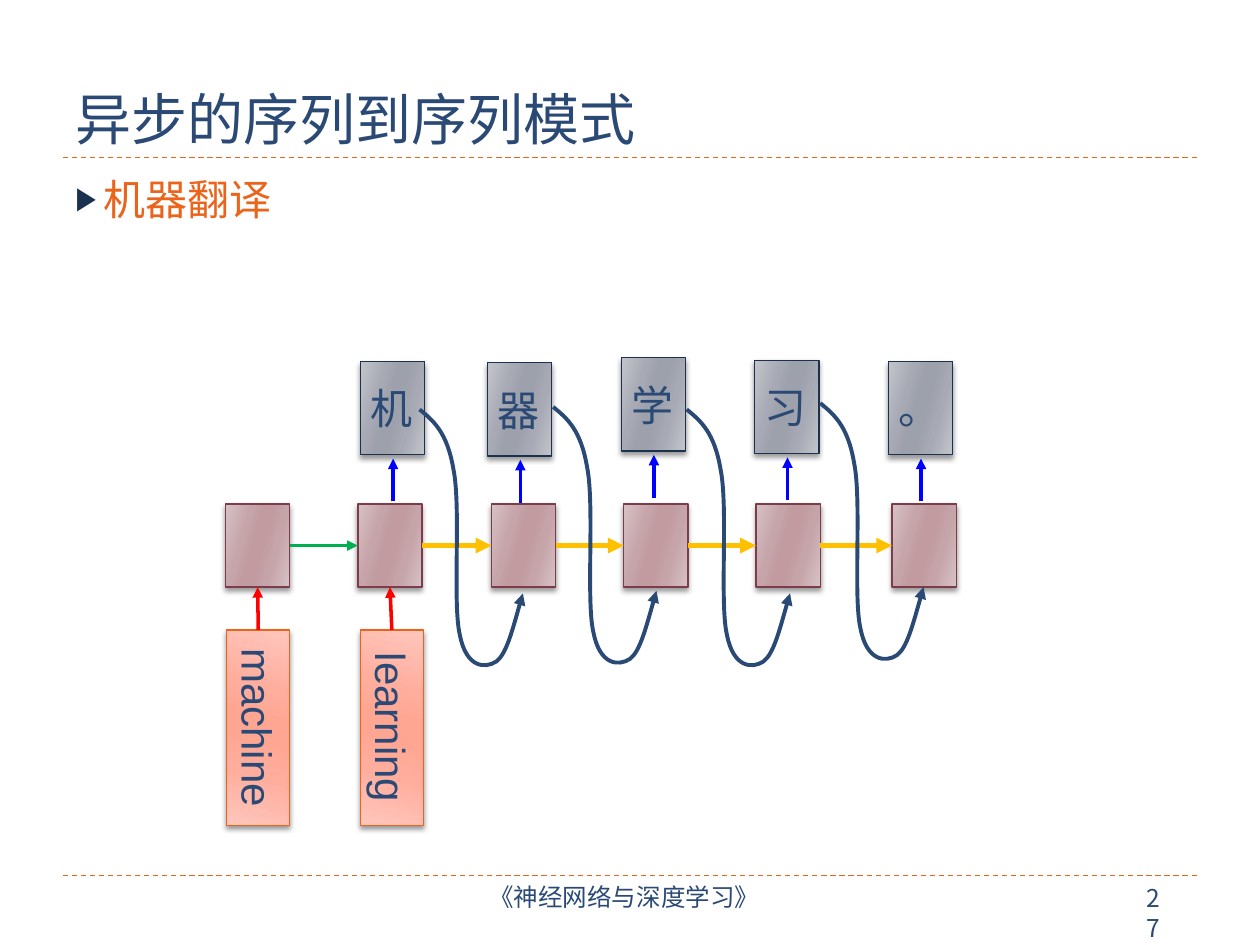
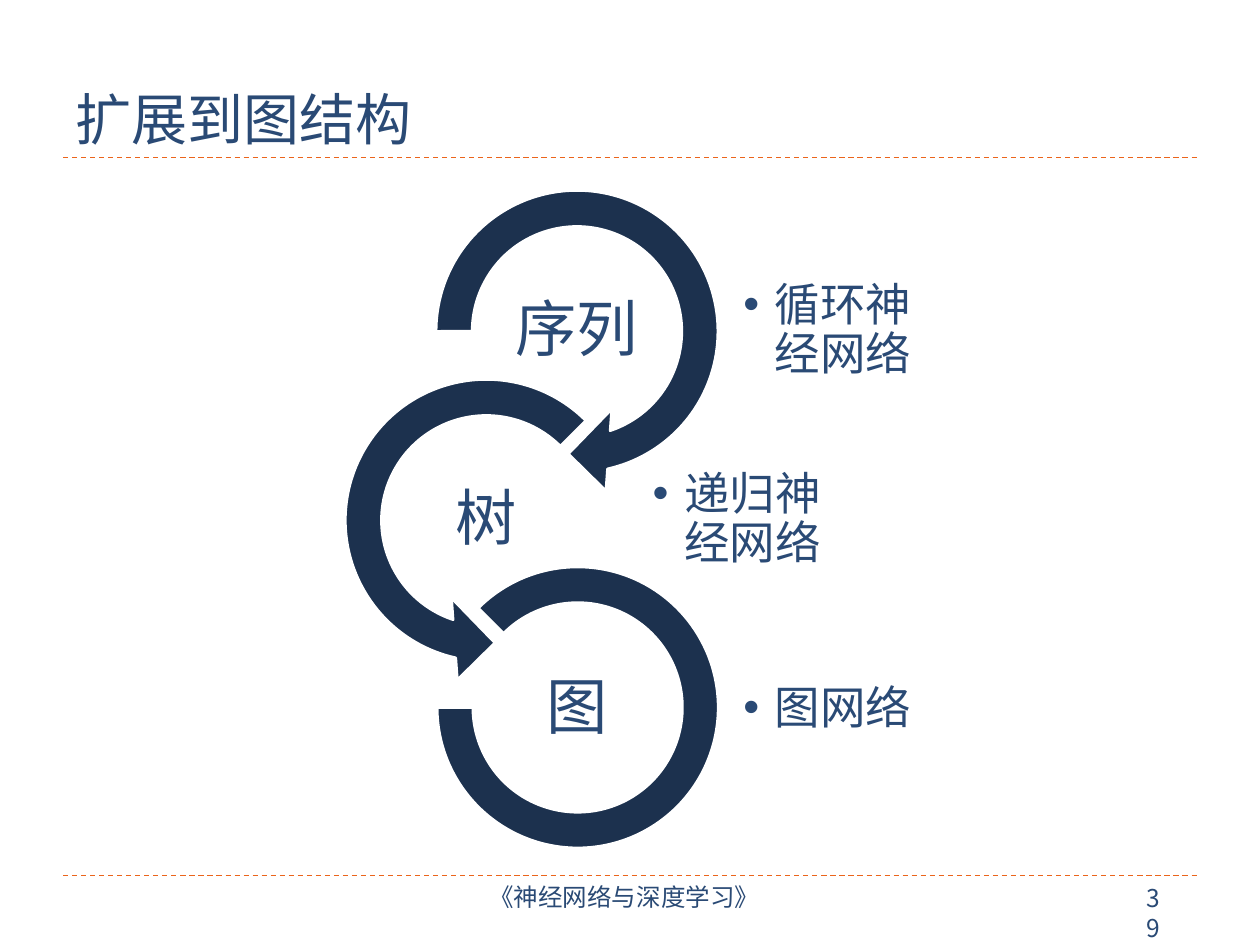
from dataclasses import dataclass
from itertools import pairwise

from lxml.etree import SubElement
from pptx import Presentation
from pptx.dml.color import RGBColor
from pptx.enum.dml import MSO_LINE
from pptx.enum.shapes import MSO_CONNECTOR, MSO_SHAPE
from pptx.enum.text import MSO_ANCHOR as Anchor, PP_ALIGN as Align
from pptx.oxml.ns import qn
from pptx.util import Inches, Pt


@dataclass(frozen=True)
class Theme:
    """Colours, fonts and type sizes shared by the slides."""
    text: str = "2A4A75"
    navy: str = "1C314E"
    orange: str = "EB641B"
    white: str = "FFFFFF"
    red: str = "FF0000"
    blue: str = "0000FF"
    green: str = "00B050"
    amber: str = "FFC000"
    wine: str = "7D3C4A"
    shadow: str = "000000"
    input_shades: tuple = ("FFC6BC", "FFAE9E", "FFA693")
    hidden_shades: tuple = ("D7C2C5", "C6A5AA", "C19BA0")
    output_shades: tuple = ("C3C5CB", "A7AAB4", "9DA1AC")
    cjk: str = "Noto Sans CJK SC"
    latin: str = "Arial"
    title_size: int = 32
    body_size: int = 24
    footer_size: int = 14
    stage_size: int = 35
    network_size: int = 26


@dataclass(frozen=True)
class Box:
    """A rectangle in inches."""
    left: float
    top: float
    width: float
    height: float

    def inner(self, dx, dy, width, height):
        """Return a box offset from this one's corner."""
        return Box(self.left + dx, self.top + dy, width, height)

    def lengths(self):
        """Return the four lengths that shapes are placed with."""
        return [Inches(v) for v in (self.left, self.top, self.width, self.height)]


THEME = Theme()
PAGE = Box(0, 0, 10, 7.5)
TIGHT = (0.02, 0.02, 0.02, 0.02)
FEEDBACK = [(0.11, 0.09), (0.22, 0.18), (0.27, 0.48),
            (0.33, 0.78), (0.26, 1.54), (0.32, 1.79),
            (0.37, 2.05), (0.52, 2.06), (0.61, 2.0),
            (0.69, 1.94), (0.75, 1.7), (0.82, 1.46)]


def rgb(color):
    """Turn a hex string into a colour."""
    return RGBColor.from_string(color)


def write(holder, words, size, color=THEME.text, font=THEME.latin,
          align=Align.LEFT, anchor=Anchor.TOP, insets=(0.1, 0.05, 0.1, 0.05)):
    """Write one run into a shape and return its paragraph."""
    frame = holder.text_frame
    frame.word_wrap = True
    frame.vertical_anchor = anchor
    (frame.margin_left, frame.margin_top,
     frame.margin_right, frame.margin_bottom) = map(Inches, insets)
    paragraph = frame.paragraphs[0]
    paragraph.alignment = align
    run = paragraph.add_run()
    run.text = words
    run.font.size = Pt(size)
    run.font.name = font
    run.font.color.rgb = rgb(color)
    SubElement(run.font._element, qn("a:ea"), typeface=THEME.cjk)
    return paragraph


def add_label(slide, box, words, size, **style):
    """Add a text box and return its paragraph."""
    return write(slide.shapes.add_textbox(*box.lengths()), words, size, **style)


def add_bullet(paragraph, symbol, indent, color=None, percent=None):
    """Give a paragraph a hanging bullet."""
    properties = paragraph._p.get_or_add_pPr()
    properties.set("marL", str(Inches(indent)))
    properties.set("indent", str(-Inches(indent)))
    if color:
        SubElement(SubElement(properties, qn("a:buClr")), qn("a:srgbClr"), val=color)
    if percent:
        SubElement(properties, qn("a:buSzPct"), val=str(percent * 1000))
    SubElement(properties, qn("a:buFont"), typeface=THEME.latin)
    SubElement(properties, qn("a:buChar"), char=symbol)


def set_line(shape, color, width, arrow=False):
    """Set colour, width and optional arrowhead of a line."""
    shape.line.color.rgb = rgb(color)
    shape.line.width = Pt(width)
    if arrow:
        SubElement(shape.element.spPr.find(qn("a:ln")), qn("a:tailEnd"), type="triangle")


def add_line(slide, start, end, color, width, arrow=True):
    """Add a straight line between two points."""
    line = slide.shapes.add_connector(
        MSO_CONNECTOR.STRAIGHT, *(Inches(v) for v in (*start, *end)))
    set_line(line, color, width, arrow)
    SubElement(line.element.spPr, qn("a:effectLst"))
    return line


def add_unit(slide, box, shades, outline):
    """Add a glossy network unit with a soft shadow."""
    unit = slide.shapes.add_shape(MSO_SHAPE.RECTANGLE, *box.lengths())
    unit.fill.gradient()
    unit.fill.gradient_angle = 344
    stops = unit.element.spPr.find(".//" + qn("a:gsLst"))
    stops.clear()
    edge, mid, core = shades
    for place, shade in ((0, edge), (30, mid), (45, core),
                         (55, core), (73, mid), (100, edge)):
        stop = SubElement(stops, qn("a:gs"), pos=str(place * 1000))
        SubElement(stop, qn("a:srgbClr"), val=shade)
    set_line(unit, outline, 0.75)
    unit.shadow.inherit = False
    cast = SubElement(unit.element.spPr.find(qn("a:effectLst")), qn("a:outerShdw"),
                      blurRad=str(Pt(3)), dist=str(Pt(2)), dir="5400000", rotWithShape="0")
    tint = SubElement(cast, qn("a:srgbClr"), val=THEME.shadow)
    SubElement(tint, qn("a:alpha"), val="40000")
    return unit


def add_feedback(slide, left, top):
    """Draw the curve that returns an output to the next step."""
    builder = slide.shapes.build_freeform(Inches(left), Inches(top), scale=1.0)
    builder.add_line_segments(
        [(Inches(left + dx), Inches(top + dy)) for dx, dy in FEEDBACK], close=False)
    curve = builder.convert_to_shape()
    outline = curve.element.spPr.find(".//" + qn("a:moveTo")).getparent()
    segments = outline.findall(qn("a:lnTo"))
    for first in range(0, len(segments), 3):
        bend = SubElement(outline, qn("a:cubicBezTo"))
        for segment in segments[first:first + 3]:
            bend.append(segment[0])
            outline.remove(segment)
    curve.fill.background()
    set_line(curve, THEME.text, 2.25, arrow=True)
    curve.shadow.inherit = False


def add_frame(slide, box, title, number):
    """Add the title, rules, footer and page number."""
    for y in (1.25, 6.95):
        rule = add_line(slide, (box.left + 0.5, box.top + y),
                        (box.left + box.width - 0.5, box.top + y),
                        THEME.orange, 0.75, arrow=False)
        rule.line.dash_style = MSO_LINE.DASH
    add_label(slide, box.inner(3.33, 6.96, 3.25, 0.4), "《神经网络与深度学习》",
              THEME.footer_size, font=THEME.cjk, align=Align.CENTER,
              insets=(0.07, 0.04, 0.07, 0.04))
    add_label(slide, box.inner(9, 6.96, 0.41, 0.34), number,
              THEME.footer_size, font=THEME.cjk)
    add_label(slide, box.inner(0.5, 0.17, 9, 1.08), title,
              THEME.title_size, font=THEME.cjk, anchor=Anchor.BOTTOM)


def add_input(slide, box, word, unit):
    """Add an upright input word that feeds the unit above it."""
    wide, tall = box.height, box.width
    lying = box.inner((tall - wide) / 2, (wide - tall) / 2, wide, tall)
    holder = add_unit(slide, lying, THEME.input_shades, THEME.orange)
    holder.rotation = 90
    write(holder, word, THEME.body_size, align=Align.CENTER, anchor=Anchor.MIDDLE)
    middle = box.left + box.width / 2
    arrow = add_line(slide, (middle, box.top), (middle, box.top - 0.34), THEME.red, 2)
    arrow.end_connect(unit, 2)


def add_output(slide, box, character):
    """Add an output character and the arrow that leads to it."""
    add_unit(slide, box, THEME.output_shades, THEME.navy)
    add_label(slide, box.inner(-0.1, 0.12, 0.69, 0.5), character,
              THEME.body_size, align=Align.CENTER)
    x = box.left + 0.26
    add_line(slide, (x, box.top + 1.11), (x, box.top + 0.77), THEME.blue, 2)


def add_translator(slide, box):
    """Add the encoder-decoder diagram for machine translation."""
    units = [add_unit(slide, box.inner(dx, 1.16, 0.51, 0.66),
                      THEME.hidden_shades, THEME.wine)
             for dx in (0, 1.05, 2.11, 3.16, 4.21, 5.29)]
    for step, word in enumerate(("machine", "learning")):
        add_input(slide, box.inner(0.01 + 1.06 * step, 2.16, 0.5, 1.55), word, units[step])
    for character, dx, dy in (("机", 1.07, 0.03), ("器", 2.08, 0.04), ("学", 3.14, 0),
                              ("习", 4.2, 0.02), ("。", 5.26, 0.03)):
        add_output(slide, box.inner(dx, dy, 0.51, 0.74), character)
    for step, (before, after) in enumerate(pairwise(units)):
        color, width = (THEME.amber, 3) if step else (THEME.green, 2)
        arrow = add_line(slide, (0, 0), (1, 1), color, width)
        arrow.begin_connect(before, 3)
        arrow.end_connect(after, 1)
    for step, dy in enumerate((0.41, 0.39, 0.41, 0.36)):
        add_feedback(slide, box.left + 1.54 + 1.06 * step, box.top + dy)


def add_stage(slide, box, ring, adjustments, structure, network):
    """Add one ring with its structure inside and its network beside."""
    arc = slide.shapes.add_shape(ring, *box.lengths())
    if ring == MSO_SHAPE.BLOCK_ARC:
        arc.left, arc.top, arc.width, arc.height = box.inner(
            0.19, 0.17, 2.23, 2.23).lengths()
    for place, value in enumerate(adjustments):
        arc.adjustments[place] = value
    arc.fill.solid()
    arc.fill.fore_color.rgb = rgb(THEME.navy)
    set_line(arc, THEME.white, 1.5)
    arc.shadow.inherit = False
    beside = add_label(slide, box.inner(2.6, 0.78, 1.56, 1.04), network,
                       THEME.network_size, anchor=Anchor.MIDDLE, insets=TIGHT)
    beside.line_spacing = 0.9
    add_bullet(beside, "•", 0.25)
    inside = add_label(slide, box.inner(0.58, 0.94, 1.44, 0.72), structure,
                       THEME.stage_size, align=Align.CENTER,
                       anchor=Anchor.MIDDLE, insets=TIGHT)
    inside.line_spacing = 0.9


def build_translation(slide, box):
    """Build the asynchronous sequence-to-sequence slide."""
    add_frame(slide, box, "异步的序列到序列模式", "27")
    topic = add_label(slide, box.inner(0.5, 1.33, 9, 5.4), "机器翻译",
                      THEME.body_size, color=THEME.orange, font=THEME.cjk)
    add_bullet(topic, "▶", 0.22, THEME.navy, 76)
    add_translator(slide, box.inner(1.79, 2.84, 5.8, 3.71))


def build_structures(slide, box):
    """Build the slide that extends sequences to graphs."""
    add_frame(slide, box, "扩展到图结构", "39")
    stages = (
        (0.72, MSO_SHAPE.CIRCULAR_ARROW, (0.11, 11.42, 45, 108, 0.125),
         "序列", "循环神经网络"),
        (0, MSO_SHAPE.LEFT_CIRCULAR_ARROW, (0.11, 11.42, 63, 189, 0.125),
         "树", "递归神经网络"),
        (0.72, MSO_SHAPE.BLOCK_ARC, (135, 108, 0.127), "图", "图网络"),
    )
    for row, (shift, *content) in enumerate(stages):
        add_stage(slide, box.inner(2.56 + shift, 1.33 + 1.5 * row, 2.6, 2.6), *content)


def main():
    """Build and save the presentation."""
    deck = Presentation()
    deck.slide_width, deck.slide_height = Inches(PAGE.width), Inches(PAGE.height)
    for build in (build_translation, build_structures):
        build(deck.slides.add_slide(deck.slide_layouts[6]), PAGE)
    deck.save("out.pptx")


if __name__ == "__main__":
    main()
